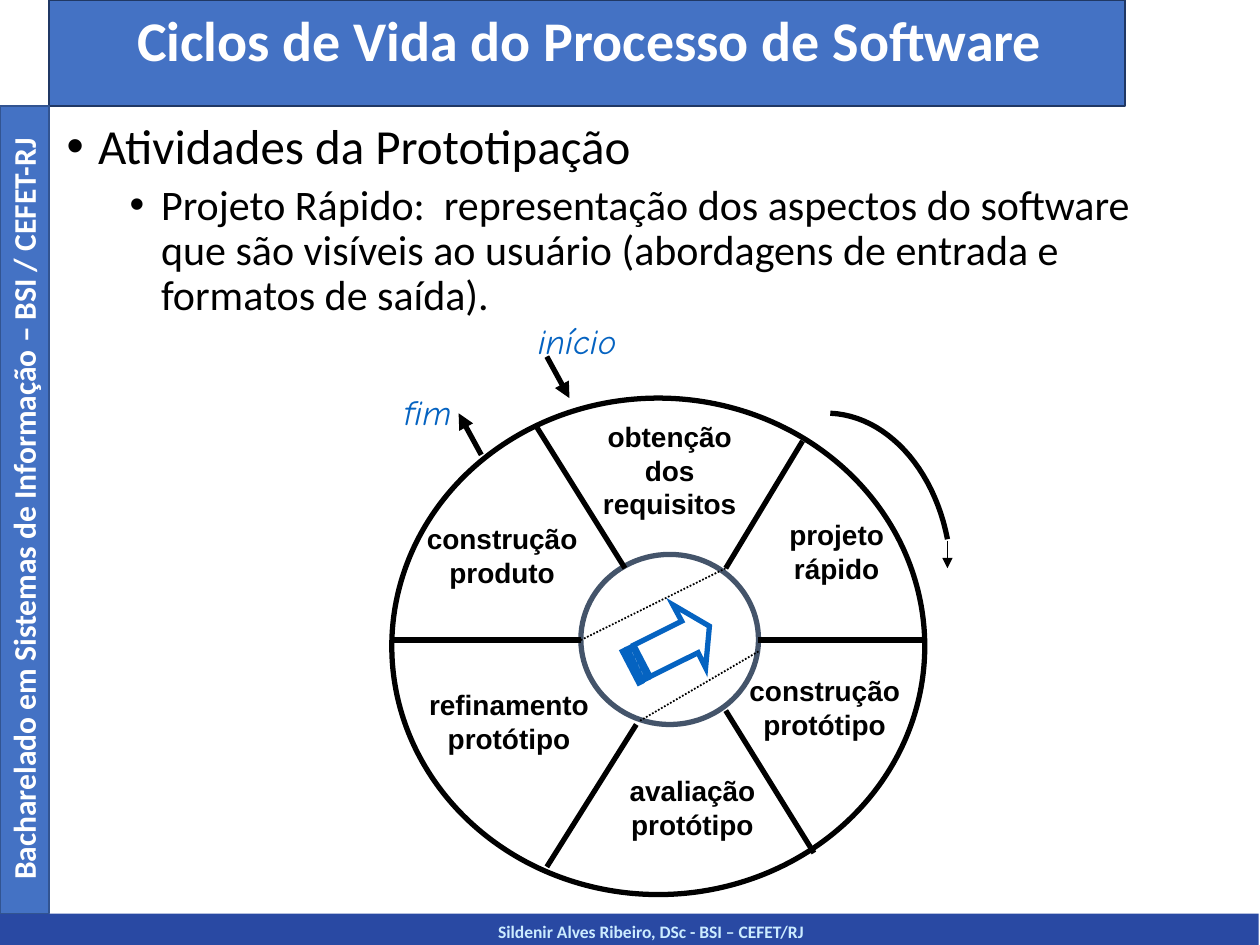
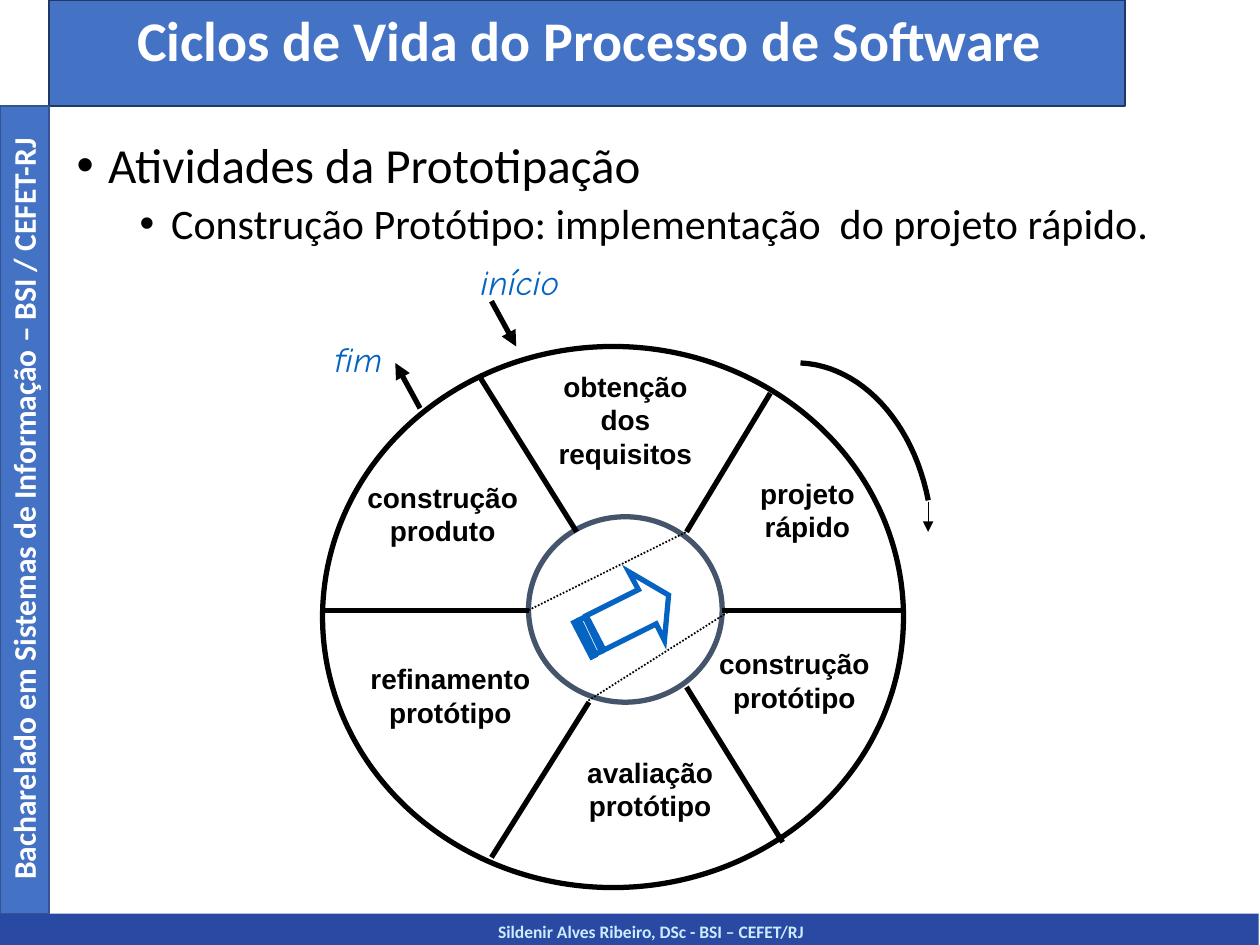
from dataclasses import dataclass

from pptx import Presentation
from pptx.dml.color import RGBColor
from pptx.enum.dml import MSO_LINE
from pptx.enum.shapes import MSO_CONNECTOR, MSO_SHAPE
from pptx.enum.text import MSO_ANCHOR, MSO_AUTO_SIZE, PP_ALIGN
from pptx.oxml.ns import qn
from pptx.oxml.xmlchemy import OxmlElement
from pptx.util import Pt

EMU_PER_PX = 9144
TITLE_ONLY = 5

BLACK = RGBColor(0x00, 0x00, 0x00)
WHITE = RGBColor(0xFF, 0xFF, 0xFF)
BAND_BLUE = RGBColor(0x44, 0x72, 0xC4)
TITLE_EDGE = RGBColor(0x20, 0x38, 0x64)
SIDE_EDGE = RGBColor(0x32, 0x54, 0x91)
FOOTER_BLUE = RGBColor(0x29, 0x49, 0xA3)
FOOTER_TEXT = RGBColor(0xCC, 0xEC, 0xFF)
HUB_GREY = RGBColor(0x44, 0x54, 0x6A)
ACCENT_BLUE = RGBColor(0x05, 0x63, 0xC1)

TITLE = "Ciclos de Vida do Processo de Software"
TOPIC = "Atividades da Prototipação"
COURSE = "Bacharelado em Sistemas de Informação – BSI / CEFET-RJ"
AUTHOR = "Sildenir Alves Ribeiro, DSc - BSI – CEFET/RJ"

# Wheel geometry in px at scale 1, measured from the rim's top left corner.
RIM = (0, 0, 423, 394)
HUB = (150, 124, 141, 135)
ENDPOINT_LABELS = [
    ("fim", (0, -11, 97, 56)),
    ("início", (106, -67, 97, 56)),
]
SECTOR_LABELS = [
    ("obtenção dos requisitos", (150, 12, 141, 112)),
    ("projeto rápido", (291, 90, 124, 90)),
    ("construção protótipo", (273, 214, 141, 90)),
    ("avaliação protótipo", (168, 293, 141, 90)),
    ("refinamento protótipo", (18, 225, 150, 90)),
    ("construção produto", (8, 93, 159, 90)),
]
SPOKES = [
    ((115, 23), (185, 135)),
    ((326, 34), (265, 135)),
    ((291, 192), (423, 192)),
    ((265, 248), (335, 361)),
    ((194, 259), (123, 372)),
    ((150, 192), (0, 192)),
]
START_ARROW = ((123, -33), (141, 0))
END_ARROW = ((71, 45), (53, 12))
UPPER_DOTS = ((150, 192), (265, 135))
TURN_CURVE = [(348, 12), (392, 14), (430, 55), (441, 112)]
TURN_TIP = ((441, 113), (441, 135))
HUB_ARROW = [
    [(223, 164), (230, 177), (192, 196), (205, 221), (243, 202), (249, 214), (252, 181)],
    [(187, 199), (199, 224), (203, 222), (191, 197)],
    [(183, 201), (196, 226), (198, 225), (185, 200)],
]


def emu(*lengths):
    return [round(length * EMU_PER_PX) for length in lengths]


@dataclass
class Placement:
    """Where the wheel's rim starts on a page, and how much it is enlarged."""
    left: int
    top: int
    scale: float = 1

    def point(self, spot):
        x, y = spot
        return self.left + x * self.scale, self.top + y * self.scale

    def area(self, bounds):
        x, y, width, height = bounds
        return *self.point((x, y)), width * self.scale, height * self.scale


def style_paragraph(para, font_name, size, color, bold=False, italic=False,
                    align=PP_ALIGN.CENTER):
    para.alignment = align
    para.font.name = font_name
    para.font.size = Pt(size)
    para.font.color.rgb = color
    para.font.bold = bold
    para.font.italic = italic


def add_text(page, bounds, text, *style, **options):
    box = page.shapes.add_textbox(*emu(*bounds))
    box.text_frame.word_wrap = True
    box.text_frame.text = text
    style_paragraph(box.text_frame.paragraphs[0], *style, **options)
    return box


def add_band(page, bounds, fill, edge=None):
    band = page.shapes.add_shape(MSO_SHAPE.RECTANGLE, *emu(*bounds))
    band.shadow.inherit = False
    band.fill.solid()
    band.fill.fore_color.rgb = fill
    if edge is None:
        band.line.fill.background()
    else:
        band.line.color.rgb = edge
        band.line.width = Pt(1)
    return band


def outline(shape, color):
    shape.shadow.inherit = False
    shape.fill.background()
    shape.line.color.rgb = color
    shape.line.width = Pt(3)


def add_ring(page, bounds, color):
    outline(page.shapes.add_shape(MSO_SHAPE.OVAL, *emu(*bounds)), color)


def add_line(page, ends, width=3, dotted=False, arrow=False):
    start, finish = ends
    line = page.shapes.add_connector(MSO_CONNECTOR.STRAIGHT, *emu(*start, *finish))
    line.line.color.rgb = BLACK
    line.line.width = Pt(width)
    if dotted:
        line.line.dash_style = MSO_LINE.ROUND_DOT
    properties = line._element.spPr
    if arrow:
        head = OxmlElement("a:tailEnd")
        head.set("type", "triangle")
        properties.find(qn("a:ln")).append(head)
    properties.append(OxmlElement("a:effectLst"))


def add_outline(page, contours, color, closed=True):
    builder = None
    for contour in contours:
        first, *rest = [emu(*spot) for spot in contour]
        if builder is None:
            builder = page.shapes.build_freeform(*first)
        else:
            builder.move_to(*first)
        builder.add_line_segments(rest, close=closed)
    shape = builder.convert_to_shape()
    outline(shape, color)
    if closed:
        corner = OxmlElement("a:miter")
        corner.set("lim", "800000")
        shape._element.spPr.find(qn("a:ln")).append(corner)


def bezier(controls, steps=24):
    """Points along a cubic curve."""
    points = []
    for step in range(steps + 1):
        t = step / steps
        weights = ((1 - t) ** 3, 3 * t * (1 - t) ** 2, 3 * t ** 2 * (1 - t), t ** 3)
        points.append([sum(w * value for w, value in zip(weights, axis))
                       for axis in zip(*controls)])
    return points


def add_frame(page, layout):
    """Draw the bands every page shares, and hand them to the layout."""
    side_text = add_text(page, (-302, 384, 641, 40), COURSE, "Calibri", 18, WHITE, bold=True)
    side_text.rotation = 270
    frame = [
        add_band(page, (0, 725, 999, 25), FOOTER_BLUE),
        add_text(page, (51, 726, 931, 25), AUTHOR, "Calibri", 10, FOOTER_TEXT, bold=True),
        add_band(page, (39, 0, 854, 84), BAND_BLUE, TITLE_EDGE),
        add_band(page, (0, 84, 39, 641), BAND_BLUE, SIDE_EDGE),
        side_text,
    ]
    for shape in frame:
        layout.shapes._spTree.append(shape._element)


def set_title(page):
    title = page.shapes.title
    title.left, title.top, title.width, title.height = emu(43, 5, 850, 76)
    frame = title.text_frame
    frame.text = TITLE
    frame.vertical_anchor = MSO_ANCHOR.TOP
    frame.auto_size = MSO_AUTO_SIZE.NONE
    para = frame.paragraphs[0]
    style_paragraph(para, "Calibri", 32, WHITE, bold=True)
    para.line_spacing = 0.9


def add_bullet(para, size, margin, space_before):
    style_paragraph(para, "Calibri", size, BLACK, align=PP_ALIGN.LEFT)
    para.line_spacing = 0.9
    para.space_before = Pt(space_before)
    properties = para._p.get_or_add_pPr()
    indent, = emu(-25)
    left, = emu(margin)
    properties.set("marL", str(left))
    properties.set("indent", str(indent))
    font = OxmlElement("a:buFont")
    font.set("typeface", "Arial")
    mark = OxmlElement("a:buChar")
    mark.set("char", "•")
    properties.find(qn("a:spcBef")).addnext(font)
    font.addnext(mark)


def add_body(page, bounds, detail):
    box = page.shapes.add_textbox(*emu(*bounds))
    frame = box.text_frame
    frame.word_wrap = True
    frame.text = TOPIC
    add_bullet(frame.paragraphs[0], 28, 25, 10)
    para = frame.add_paragraph()
    para.text = detail
    para.level = 1
    add_bullet(para, 24, 75, 5)


def add_wheel(page, place, lower_dots):
    def placed(spots):
        return [place.point(spot) for spot in spots]

    for text, bounds in ENDPOINT_LABELS:
        add_text(page, place.area(bounds), text, "Comic Neue", 20, ACCENT_BLUE,
                 italic=True, align=PP_ALIGN.LEFT)
    for text, bounds in SECTOR_LABELS:
        add_text(page, place.area(bounds), text, "Arial", 16, BLACK, bold=True)
    add_ring(page, place.area(RIM), BLACK)
    add_ring(page, place.area(HUB), HUB_GREY)
    for spoke in SPOKES:
        add_line(page, placed(spoke))
    add_outline(page, [placed(contour) for contour in HUB_ARROW], ACCENT_BLUE)
    for dots in (placed(UPPER_DOTS), lower_dots):
        add_line(page, dots, width=1, dotted=True)
    for arrow in (END_ARROW, START_ARROW):
        add_line(page, placed(arrow), arrow=True)
    add_outline(page, [bezier(placed(TURN_CURVE))], BLACK, closed=False)
    add_line(page, placed(TURN_TIP), width=0.75, arrow=True)


def main():
    deck = Presentation()
    deck.slide_width, deck.slide_height = emu(1000, 750)
    layout = deck.slide_layouts[TITLE_ONLY]

    quick_design = deck.slides.add_slide(layout)
    add_frame(quick_design, layout)
    set_title(quick_design)
    add_body(quick_design, (43, 92, 919, 189),
             "Projeto Rápido:  representação dos aspectos do software que são "
             "visíveis ao usuário (abordagens de entrada e formatos de saída).")
    add_wheel(quick_design, Placement(311, 316), [(508, 572), (602, 517)])

    prototype = deck.slides.add_slide(layout)
    set_title(prototype)
    add_body(prototype, (51, 107, 921, 102),
             "Construção Protótipo: implementação  do projeto rápido.")
    add_wheel(prototype, Placement(256, 275, 1.09), [(467, 556), (579, 485)])

    deck.save("out.pptx")


if __name__ == "__main__":
    main()
